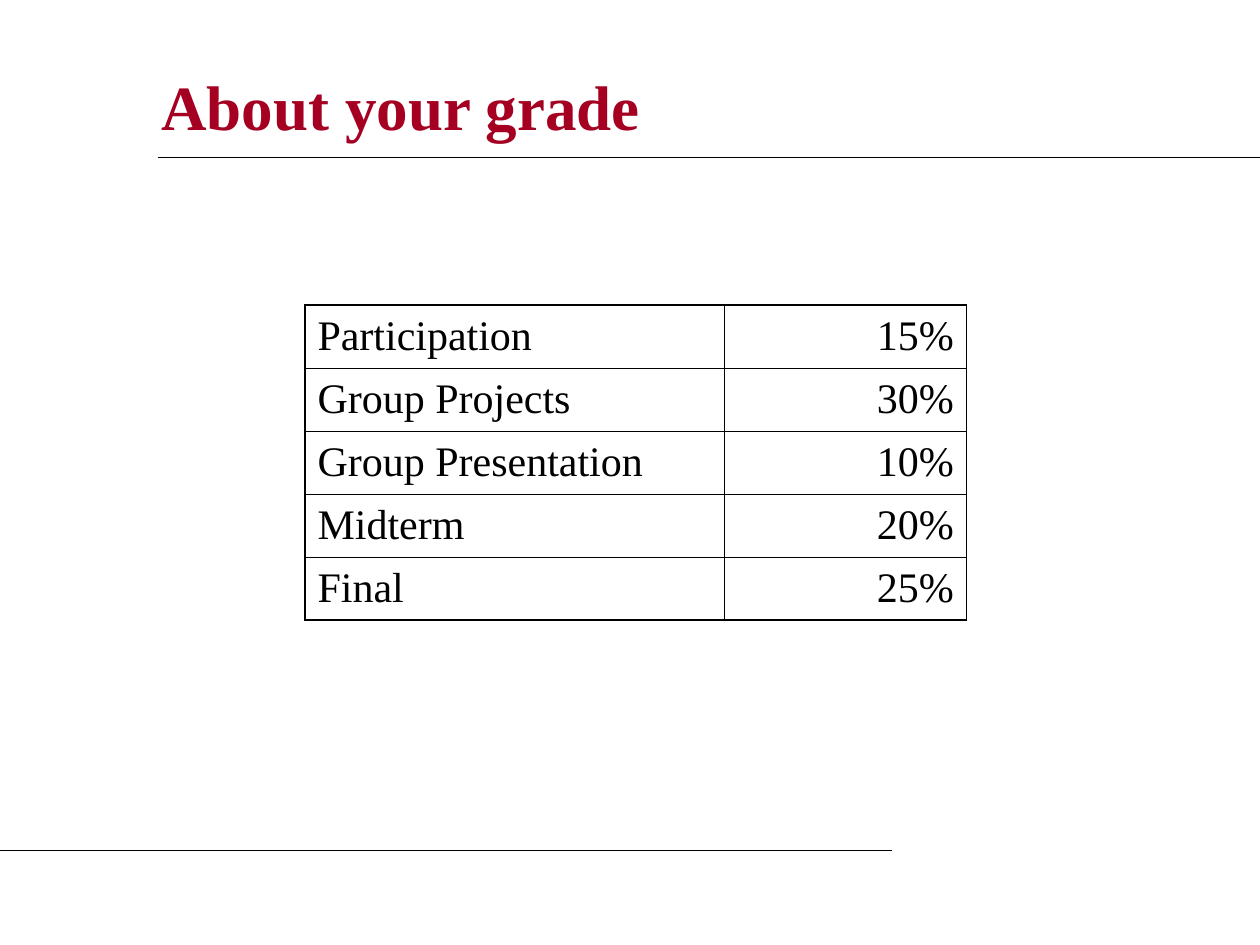
from lxml.etree import SubElement
from pptx import Presentation
from pptx.dml.color import RGBColor
from pptx.enum.shapes import MSO_CONNECTOR
from pptx.enum.text import MSO_ANCHOR, MSO_AUTO_SIZE, PP_ALIGN
from pptx.oxml.ns import qn
from pptx.util import Inches, Pt

FONT = "Times New Roman"
BLACK = "000000"
RED = "A50021"
INNER, OUTER, BOTTOM = 0.45, 1.08, 1.47
GRADES = [
    ("Participation", "15%"),
    ("Group Projects", "30%"),
    ("Group Presentation", "10%"),
    ("Midterm", "20%"),
    ("Final", "25%"),
]


def rgb(color):
    """Turn a hex string into a colour."""
    return RGBColor.from_string(color)


def format_text(tf, size, color, align, bold=False):
    """Format the first paragraph of a text frame."""
    p = tf.paragraphs[0]
    p.alignment = align
    font = p.runs[0].font
    font.name, font.size, font.bold = FONT, Pt(size), bold
    font.color.rgb = rgb(color)


def add_title(s, text):
    """Fill and place the title placeholder."""
    sp = s.shapes.title
    sp.left, sp.top = Inches(1.18), Inches(0.5)
    sp.width, sp.height = Inches(8.33), Inches(0.67)
    tf = sp.text_frame
    tf.text = text
    tf.auto_size = MSO_AUTO_SIZE.NONE
    tf.vertical_anchor = MSO_ANCHOR.MIDDLE
    format_text(tf, 36, RED, PP_ALIGN.LEFT, bold=True)


def add_rule(s, x1, x2, y):
    """Draw a thin horizontal line."""
    line = s.shapes.add_connector(
        MSO_CONNECTOR.STRAIGHT, Inches(x1), Inches(y), Inches(x2), Inches(y))
    line.line.color.rgb = rgb(BLACK)
    line.line.width = Pt(0.75)
    SubElement(line._element.spPr, qn("a:effectLst"))


def set_borders(cell, widths):
    """Set the left, right, top and bottom borders of a cell."""
    tcPr = cell._tc.get_or_add_tcPr()
    for side, width in zip("LRTB", widths):
        ln = SubElement(tcPr, qn(f"a:ln{side}"), w=str(Pt(width)))
        fill = SubElement(ln, qn("a:solidFill"))
        SubElement(fill, qn("a:srgbClr"), val=BLACK)


def add_grades(s, grades):
    """Add the table of grade shares."""
    frame = s.shapes.add_table(
        len(grades), 2, Inches(2.42), Inches(2.42), Inches(5.25), Inches(2.5))
    table = frame.table
    table.first_row = table.horz_banding = False
    for col, width in zip(table.columns, (3.33, 1.92)):
        col.width = Inches(width)
    for i, row in enumerate(grades):
        top = OUTER if i == 0 else INNER
        bottom = BOTTOM if i == len(grades) - 1 else INNER
        for j, text in enumerate(row):
            cell = table.cell(i, j)
            cell.text_frame.text = text
            cell.vertical_anchor = MSO_ANCHOR.MIDDLE
            format_text(cell.text_frame, 24, BLACK,
                        PP_ALIGN.RIGHT if j else PP_ALIGN.LEFT)
            sides = (INNER, OUTER) if j else (OUTER, INNER)
            set_borders(cell, (*sides, top, bottom))
            cell.fill.background()


def main():
    """Build the slide and save it."""
    prs = Presentation()
    prs.slide_width, prs.slide_height = Inches(10), Inches(7.5)
    s = prs.slides.add_slide(prs.slide_layouts[5])
    add_title(s, "About your grade")
    add_rule(s, 1.25, 10, 1.25)
    add_rule(s, 0, 7.08, 6.75)
    add_grades(s, GRADES)
    prs.save("out.pptx")


if __name__ == "__main__":
    main()
